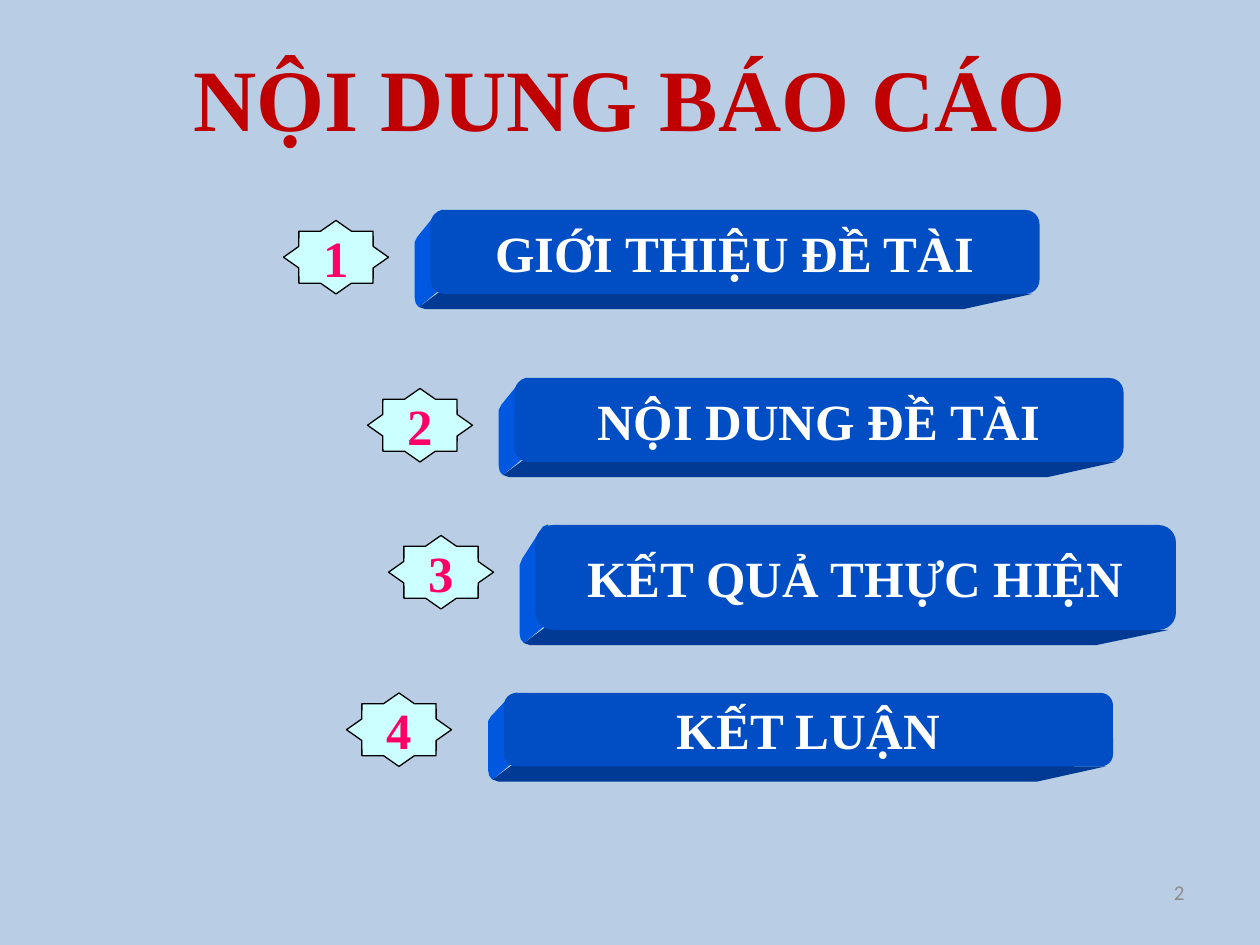
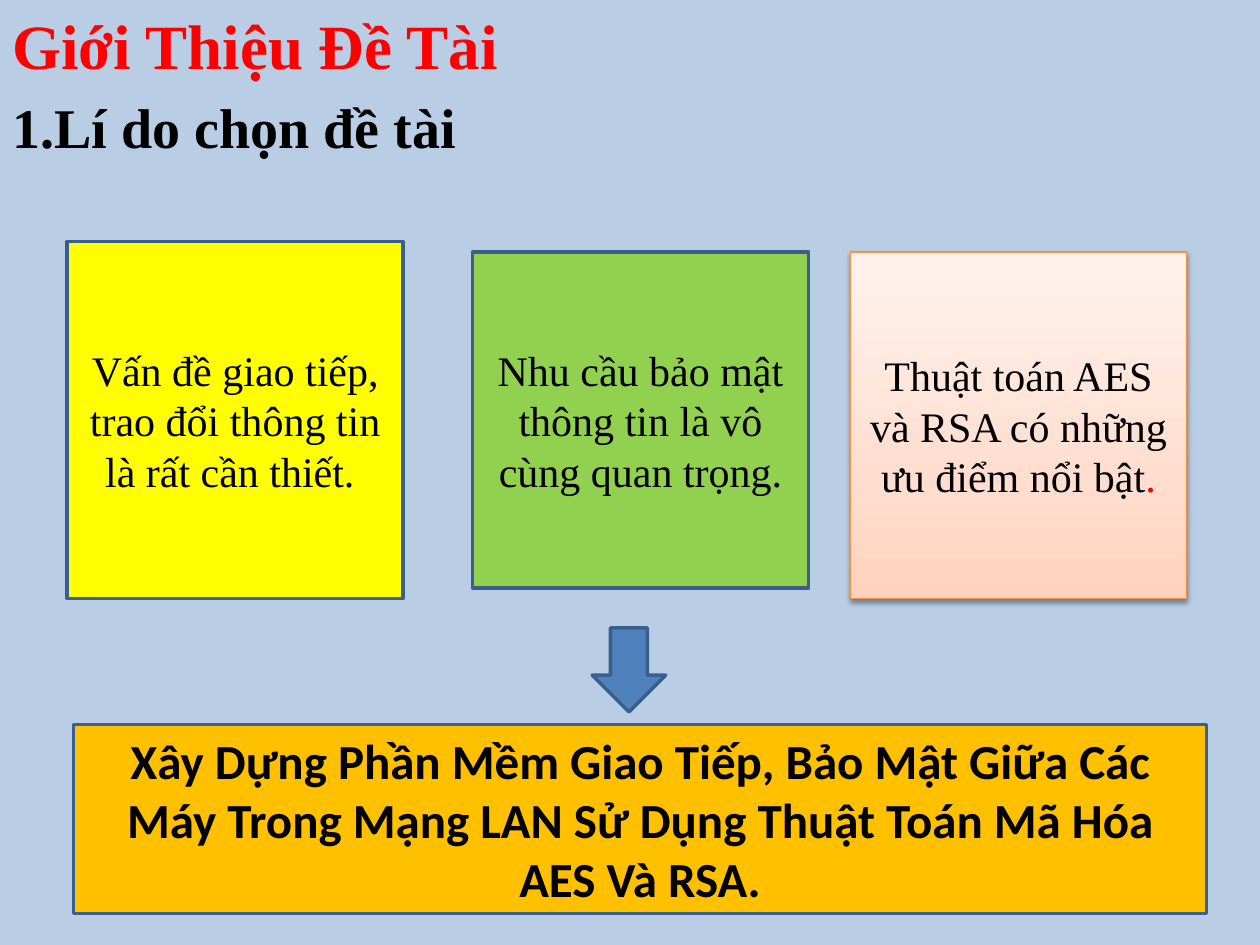
from pptx import Presentation
from pptx.dml.color import RGBColor
from pptx.enum.shapes import MSO_SHAPE
from pptx.enum.text import MSO_ANCHOR, PP_ALIGN
from pptx.oxml import parse_xml
from pptx.oxml.ns import nsdecls
from pptx.util import Inches, Pt

ROUND, STAR = MSO_SHAPE.ROUNDED_RECTANGLE, MSO_SHAPE.STAR_8_POINT
RECT, CARD = MSO_SHAPE.RECTANGLE, MSO_SHAPE.FLOWCHART_PROCESS
ARROW = MSO_SHAPE.DOWN_ARROW
LEFT, CENTER, RIGHT = PP_ALIGN.LEFT, PP_ALIGN.CENTER, PP_ALIGN.RIGHT
TOP, MIDDLE, BOTTOM = MSO_ANCHOR.TOP, MSO_ANCHOR.MIDDLE, MSO_ANCHOR.BOTTOM

# The slide is a grid of 120 columns and 90 rows of square cells
COLS, ROWS = 120, 90
CELL = Inches(10) / COLS
SERIF, SANS = "Times New Roman", "Calibri"
COLORS = {
    "back": "B9CDE5", "title": "C00000", "head": "FF0000", "black": "000000",
    "white": "FFFFFF", "page": "8C8C8C", "bar": "004DC4", "side": "0057E0",
    "base": "003A94", "star": "CCFFFF", "digit": "FF0066", "edge": "3A5F8C",
    "yellow": "FFFF00", "green": "92D050", "arrow": "4F81BD",
    "goal": "FFC000", "rim": "F69240",
}
FADE = [(0, "FFD2BD"), (35, "FFDED0"), (100, "FFF2ED")]


def rgb(name):
    return RGBColor.from_string(COLORS[name])


def grid(*cells):
    return [round(c * CELL) for c in cells]


def write(shape, text, size, color, font=SERIF, bold=True, align=CENTER,
          anchor=MIDDLE, wrap=True):
    frame = shape.text_frame
    frame.word_wrap, frame.vertical_anchor = wrap, anchor
    para = frame.paragraphs[0]
    para.text, para.alignment = text, align
    para.font.name, para.font.size, para.font.bold = font, Pt(size), bold
    para.font.color.rgb = rgb(color)
    return para


def label(slide, box, *args, **style):
    return write(slide.shapes.add_textbox(*grid(*box)), *args, **style)


def paint(shape, fill, line=None, width=2):
    shape.shadow.inherit = False
    shape.fill.solid()
    shape.fill.fore_color.rgb = rgb(fill)
    if line:
        shape.line.color.rgb = rgb(line)
        shape.line.width = Pt(width)
    else:
        shape.line.fill.background()
    return shape


def block(slide, kind, box, fill, line=None, width=2):
    return paint(slide.shapes.add_shape(kind, *grid(*box)), fill, line, width)


def facet(slide, points, fill):
    first, *rest = [grid(*p) for p in points]
    pen = slide.shapes.build_freeform(*first, scale=1.0)
    pen.add_line_segments(rest, close=True)
    paint(pen.convert_to_shape(), fill)


def bar(slide, box, text):
    """Raised bar: two receding sides and the front face."""
    x, y, w, h = box
    end, low, out = y + h, y + h + 1.45, x - 1.5
    facet(slide, [(x + 1.2, y - 0.05), (x + 0.7, y + 0.15),
                  (out + 0.25, y + 0.32 * h), (out, y + 0.38 * h),
                  (out, end + 0.4), (out + 0.1, end + 0.9),
                  (out + 0.4, end + 1.25), (x + 1, end - 0.5)], "side")
    facet(slide, [(out + 0.4, end + 1.25), (out + 1, low),
                  (x + 0.875 * w, low), (x + w - 0.7, end),
                  (x + 1, end - 0.3)], "base")
    face = block(slide, ROUND, box, "bar")
    face.adjustments[0] = 0.167
    write(face, text, 29, "white", wrap=False)


def badge(slide, x, y, number):
    star = block(slide, STAR, (x, y, 10, 7), "star", "black", 0.75)
    star.adjustments[0] = 0.383
    write(star, str(number), 29, "digit", wrap=False)


def fade(card):
    """Gradient fill, thin rim and soft drop shadow."""
    stops = "".join(f'<a:gs pos="{at * 1000}"><a:srgbClr val="{tone}"/></a:gs>'
                    for at, tone in FADE)
    card.fill.gradient()
    props = card._element.spPr
    old = props.find("{*}gradFill")
    props.replace(old, parse_xml(
        f'<a:gradFill {nsdecls("a")} rotWithShape="1"><a:gsLst>{stops}</a:gsLst>'
        '<a:lin ang="16200000" scaled="1"/></a:gradFill>'))
    props.find("{*}effectLst").append(parse_xml(
        f'<a:outerShdw {nsdecls("a")} blurRad="39370" dist="20320" dir="5400000" '
        'rotWithShape="0"><a:srgbClr val="000000"><a:alpha val="38000"/>'
        '</a:srgbClr></a:outerShdw>'))


def page(deck):
    slide = deck.slides.add_slide(deck.slide_layouts[6])
    slide.background.fill.solid()
    slide.background.fill.fore_color.rgb = rgb("back")
    return slide


def agenda(deck):
    slide = page(deck)
    label(slide, (5, 6, 110, 8.8), "NỘI DUNG BÁO CÁO", 50, "title",
          anchor=BOTTOM)
    # Star corner, then bar box
    items = [
        ("GIỚI THIỆU ĐỀ TÀI", (27, 21), (41, 20, 58, 8)),
        ("NỘI DUNG ĐỀ TÀI", (35, 37), (49, 36, 58, 8)),
        ("KẾT QUẢ THỰC HIỆN", (37, 51), (51, 50, 61, 10)),
        ("KẾT LUẬN", (33, 66), (48, 66, 58, 7)),
    ]
    for number, (text, corner, box) in enumerate(items, 1):
        bar(slide, box, text)
        badge(slide, *corner, number)
    label(slide, (86, 82, 28, 6), "2", 12, "page", font=SANS, bold=False,
          align=RIGHT)


def reasons(deck):
    slide = page(deck)
    # Headings
    label(slide, (0, 0, 104, 8.5), "Giới Thiệu Đề Tài", 36, "head",
          align=LEFT, anchor=TOP)
    label(slide, (0, 9, 114, 6), "1.Lí do chọn đề tài", 32, "black", align=LEFT)
    # Reason cards
    cards = [
        ("Vấn đề giao tiếp, trao đổi thông tin là rất cần thiết. ",
         (6.4, 23, 32, 34), "yellow", "edge", 2),
        ("Nhu cầu bảo mật thông tin là vô cùng quan trọng.",
         (45, 24, 32, 32), "green", "edge", 2),
        ("Thuật toán AES và RSA có những ưu điểm nổi bật",
         (81, 24, 32, 33), "white", "rim", 0.75),
    ]
    for text, box, fill, line, width in cards:
        card = block(slide, CARD, box, fill, line, width)
        para = write(card, text, 24, "black", bold=False)
    fade(card)
    dot = para.add_run()
    dot.text = "."
    dot.font.color.rgb = rgb("head")
    # Arrow to the goal
    block(slide, ARROW, (56.4, 59.8, 7, 8), "arrow", "edge")
    goal = block(slide, RECT, (7, 69, 107.9, 18), "goal", "edge")
    write(goal, "Xây Dựng Phần Mềm Giao Tiếp, Bảo Mật Giữa Các Máy Trong Mạng "
          "LAN Sử Dụng Thuật Toán Mã Hóa AES Và RSA.", 28, "black", font=SANS)


def main():
    deck = Presentation()
    deck.slide_width, deck.slide_height = grid(COLS, ROWS)
    agenda(deck)
    reasons(deck)
    deck.save("out.pptx")


if __name__ == "__main__":
    main()
